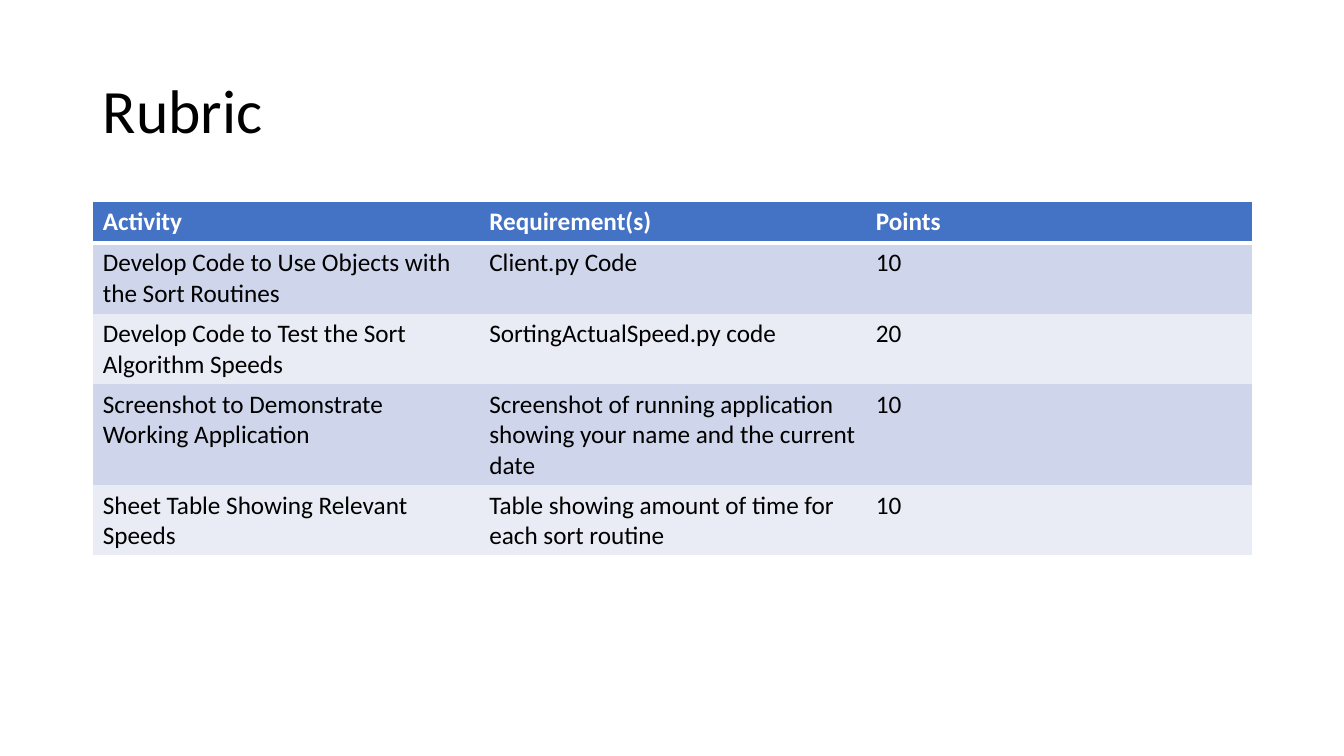
from dataclasses import dataclass

from lxml import etree
from pptx import Presentation
from pptx.dml.color import RGBColor
from pptx.enum.text import MSO_ANCHOR
from pptx.oxml.ns import qn
from pptx.util import Inches, Pt

MIDDLE = MSO_ANCHOR.MIDDLE
BLANK_LAYOUT = 6


@dataclass(frozen=True)
class Theme:
    """Colours, font and type sizes of the slide."""
    font: str = "Calibri"
    title_size: int = 44
    body_size: int = 18
    text: str = "000000"
    header_text: str = "FFFFFF"
    header_fill: str = "4472C4"
    bands: tuple = ("CFD5EA", "E9EBF5")
    border: str = "FFFFFF"
    outer_line: int = 1
    header_line: int = 3


class SlideBuilder:
    """Draws styled elements on one slide."""

    def __init__(self, slide, theme):
        """Keep the slide and its theme."""
        self.slide = slide
        self.theme = theme

    def style(self, paragraph, size, color, bold=False):
        """Format every run of a paragraph."""
        for run in paragraph.runs:
            run.font.name = self.theme.font
            run.font.size = Pt(size)
            run.font.bold = bold
            run.font.color.rgb = RGBColor.from_string(color)

    def title(self, wording, left, top, width, height):
        """Add the vertically centred slide title."""
        box = self.slide.shapes.add_textbox(
            Inches(left), Inches(top), Inches(width), Inches(height))
        frame = box.text_frame
        frame.word_wrap = True
        frame.vertical_anchor = MIDDLE
        frame.text = wording
        heading = frame.paragraphs[0]
        heading.line_spacing = 0.9
        self.style(heading, self.theme.title_size, self.theme.text)

    def border(self, cell, side, points):
        """Set one cell edge; zero points means no line."""
        line = etree.SubElement(cell._tc.get_or_add_tcPr(), qn(f"a:ln{side}"))
        if not points:
            etree.SubElement(line, qn("a:noFill"))
            return
        line.set("w", str(Pt(points)))
        fill = etree.SubElement(line, qn("a:solidFill"))
        etree.SubElement(fill, qn("a:srgbClr")).set("val", self.theme.border)

    def table(self, rows, left, top, width, row_heights):
        """Add a banded table with a header row and equal columns."""
        theme = self.theme
        last_row, last_column = len(rows) - 1, len(rows[0]) - 1
        grid = self.slide.shapes.add_table(
            len(rows), len(rows[0]), Inches(left), Inches(top),
            Inches(width), Inches(sum(row_heights))).table
        for row, height in zip(grid.rows, row_heights):
            row.height = Inches(height)
        horizontal = {0: theme.outer_line, 1: theme.header_line,
                      len(rows): theme.outer_line}
        for r, wordings in enumerate(rows):
            header = r == 0
            fill = theme.header_fill if header else theme.bands[(r - 1) % 2]
            color = theme.header_text if header else theme.text
            for c, wording in enumerate(wordings):
                cell = grid.cell(r, c)
                cell.text = wording
                self.style(cell.text_frame.paragraphs[0], theme.body_size,
                           color, bold=header)
                self.border(cell, "L", theme.outer_line if c == 0 else 0)
                self.border(cell, "R",
                            theme.outer_line if c == last_column else 0)
                self.border(cell, "T", horizontal.get(r, 0))
                self.border(cell, "B", horizontal.get(r + 1, 0))
                cell.fill.solid()
                cell.fill.fore_color.rgb = RGBColor.from_string(fill)


RUBRIC = [
    ("Activity", "Requirement(s)", "Points"),
    ("Develop Code to Use Objects with the Sort Routines",
     "Client.py Code", "10"),
    ("Develop Code to Test the Sort Algorithm Speeds",
     "SortingActualSpeed.py code", "20"),
    ("Screenshot to Demonstrate Working Application",
     "Screenshot of running application showing your name and the current date",
     "10"),
    ("Sheet Table Showing Relevant Speeds",
     "Table showing amount of time for each sort routine", "10"),
]


def main():
    """Build and save the rubric slide."""
    deck = Presentation()
    deck.slide_width = Inches(13.33)
    deck.slide_height = Inches(7.5)
    slide = deck.slides.add_slide(deck.slide_layouts[BLANK_LAYOUT])
    builder = SlideBuilder(slide, Theme())
    margin, content_width = 0.92, 11.5
    builder.title("Rubric", margin, 0.4, content_width, 1.45)
    builder.table(RUBRIC, margin, 2, content_width, [0.41, 0.7, 0.7, 1, 0.7])
    deck.save("out.pptx")


main()
